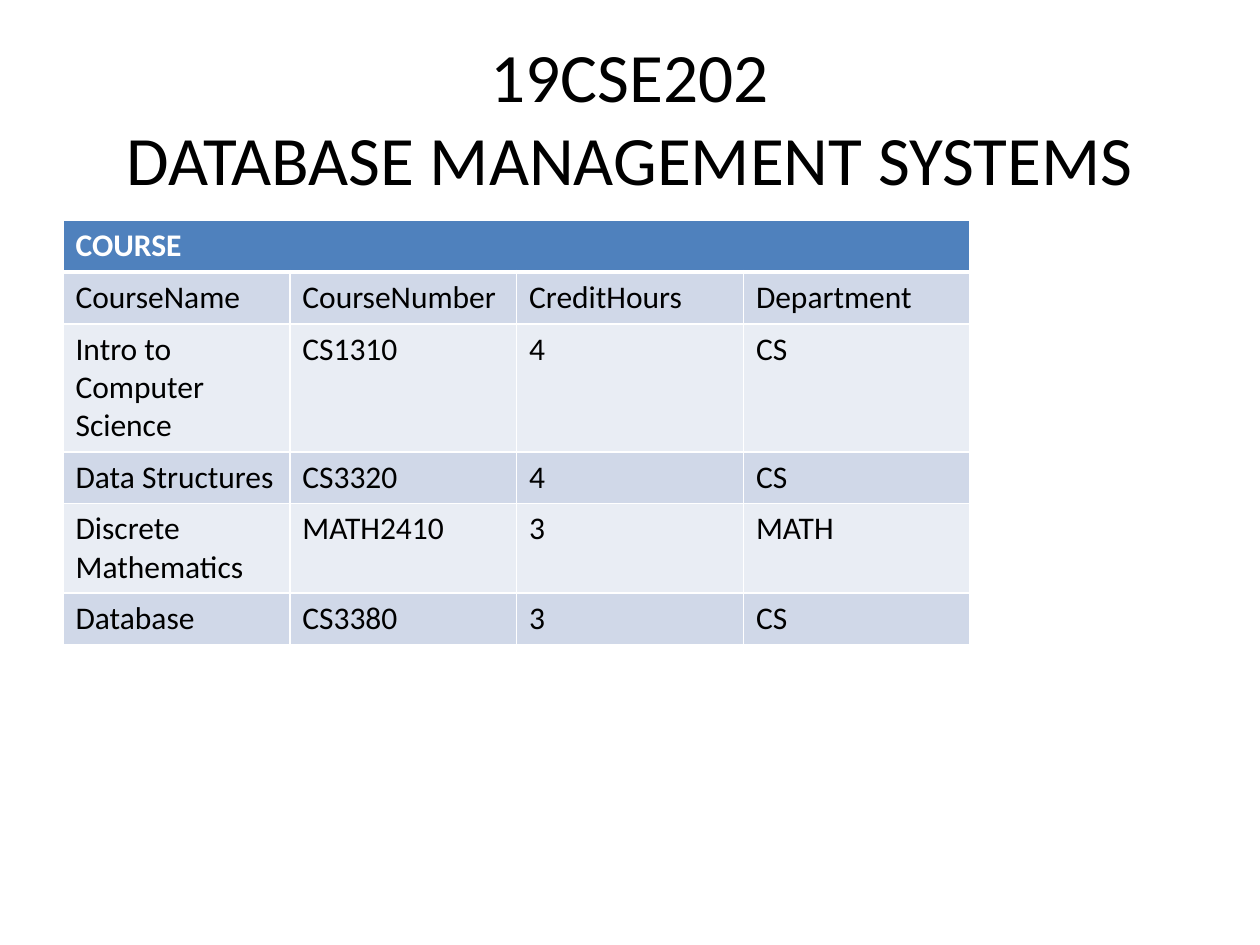
from dataclasses import dataclass

from lxml import etree
from pptx import Presentation
from pptx import util as u
from pptx.dml.color import RGBColor
from pptx.enum import text
from pptx.oxml import ns


@dataclass(frozen=True)
class Theme:
    font: str = "Calibri"
    title_size: float = 39.6
    cell_size: float = 18
    ink: str = "000000"
    paper: str = "FFFFFF"
    header: str = "4F81BD"
    bands: tuple = ("E9EDF4", "D0D8E8")
    thin: float = 1
    thick: float = 3


THEME = Theme()
WIDTH, HEIGHT = u.Inches(10), u.Inches(7.5)
MARGIN = 0.05
COLUMN_SHARE = 0.18
ROW_HEIGHT = u.Inches(0.41)
TITLE = "19CSE202\vDATABASE MANAGEMENT SYSTEMS"
TABLE_NAME = "COURSE"
COURSES = [
    ("CourseName", "CourseNumber", "CreditHours", "Department"),
    ("Intro to Computer Science", "CS1310", "4", "CS"),
    ("Data Structures", "CS3320", "4", "CS"),
    ("Discrete Mathematics", "MATH2410", "3", "MATH"),
    ("Database", "CS3380", "3", "CS"),
]


def set_attributes(target, values):
    for name, value in values.items():
        setattr(target, name, value)


def place(left, top, width, height):
    return {
        "left": int(WIDTH * left),
        "top": int(HEIGHT * top),
        "width": int(WIDTH * width),
        "height": int(HEIGHT * height),
    }


def format_text(frame, size, color, bold=False):
    for paragraph in frame.paragraphs:
        for run in paragraph.runs:
            set_attributes(run.font, {"name": THEME.font, "size": u.Pt(size), "bold": bold})
            run.font.color.rgb = RGBColor.from_string(color)


def add_title(slide):
    title = slide.shapes.title
    set_attributes(title, place(MARGIN, 0.04, 1 - 2 * MARGIN, 1 / 6))
    frame = title.text_frame
    frame.text = TITLE
    set_attributes(frame, {
        "word_wrap": True,
        "auto_size": text.MSO_AUTO_SIZE.NONE,
        "vertical_anchor": text.MSO_ANCHOR.MIDDLE,
    })
    frame.paragraphs[0].alignment = text.PP_ALIGN.CENTER
    format_text(frame, THEME.title_size, THEME.ink)


def set_borders(cell, **widths):
    properties = cell._tc.get_or_add_tcPr()
    for side in "LRTB":
        width = u.Pt(widths.get(side, THEME.thin))
        line = etree.SubElement(properties, ns.qn(f"a:ln{side}"), w=str(width))
        fill = etree.SubElement(line, ns.qn("a:solidFill"))
        etree.SubElement(fill, ns.qn("a:srgbClr"), val=THEME.paper)


def fill_cell(cell, wording, fill, color, bold=False, **widths):
    set_borders(cell, **widths)
    cell.fill.solid()
    cell.fill.fore_color.rgb = RGBColor.from_string(fill)
    cell.text = wording
    format_text(cell.text_frame, THEME.cell_size, color, bold)


def add_course_table(slide):
    row_count, column_count = len(COURSES) + 1, len(COURSES[0])
    area = place(MARGIN, 1.75 / 7.5, COLUMN_SHARE * column_count, 0)
    area["height"] = ROW_HEIGHT * row_count
    table = slide.shapes.add_table(row_count, column_count, **area).table
    for row in table.rows:
        row.height = ROW_HEIGHT

    table.cell(0, 0).merge(table.cell(0, column_count - 1))
    for column in range(column_count):
        wording = "" if column else TABLE_NAME
        fill_cell(table.cell(0, column), wording, THEME.header, THEME.paper, True, B=THEME.thick)

    for row, course in enumerate(COURSES, start=1):
        top = THEME.thick if row == 1 else THEME.thin
        for column, wording in enumerate(course):
            fill_cell(table.cell(row, column), wording, THEME.bands[row % 2], THEME.ink, T=top)


def main():
    presentation = Presentation()
    set_attributes(presentation, {"slide_width": WIDTH, "slide_height": HEIGHT})
    slide = presentation.slides.add_slide(presentation.slide_layouts.get_by_name("Title Only"))
    add_title(slide)
    add_course_table(slide)
    presentation.save("out.pptx")


if __name__ == "__main__":
    main()
